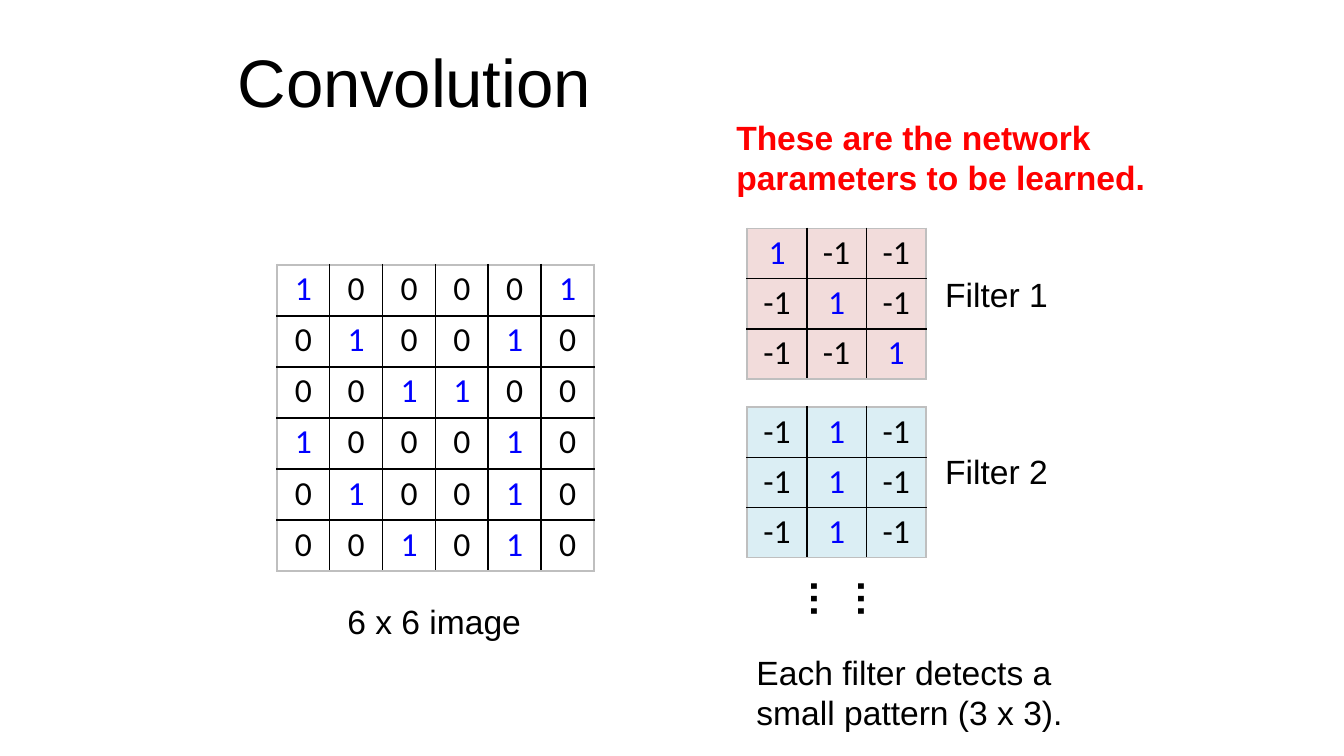
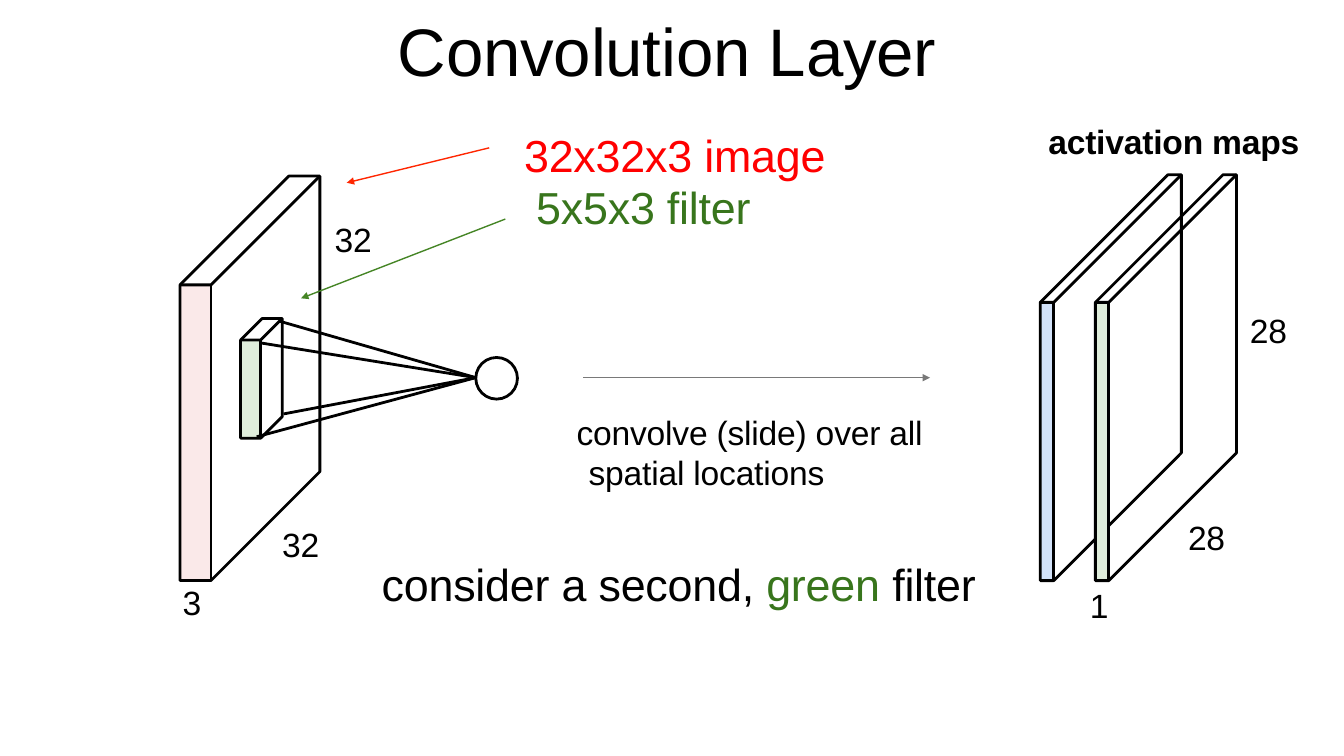
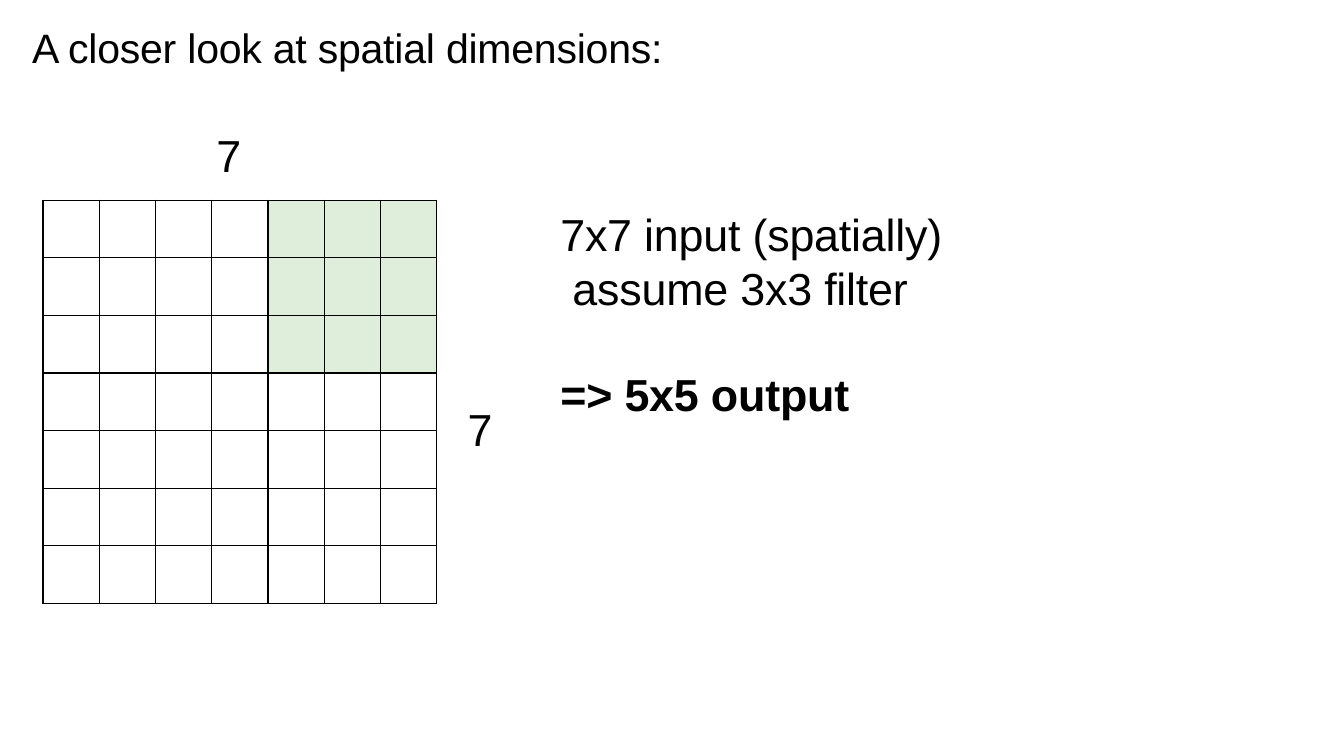
from dataclasses import dataclass
from typing import Optional

from lxml.etree import SubElement
from pptx import Presentation
from pptx.dml.color import RGBColor
from pptx.enum.shapes import MSO_CONNECTOR, MSO_SHAPE
from pptx.enum.text import MSO_ANCHOR, PP_ALIGN
from pptx.oxml.ns import qn
from pptx.util import Inches, Pt

COLORS = {
    "black": "000000",
    "blue": "0000FF",
    "red": "FF0000",
    "green": "38751C",
    "pink_cell": "F2DCDB",
    "sky_cell": "DBEEF4",
    "pale_green": "DFEDDB",
    "pale_blue": "D2E2F9",
    "pale_pink": "F7D6D5",
    "red_arrow": "FF2600",
    "green_arrow": "458525",
    "gray_arrow": "797979",
    "frame": "BFBFBF",
}
FONT = "Arial"
CELL_FONT = "Calibri"
WIDE_INSETS = (0.1, 0.05, 0.1, 0.05)
TIGHT_INSETS = (0.01, 0.01, 0, 0)
HANG = 0.09
TRACKING = "-10"


@dataclass
class Label:
    left: float
    top: float
    width: float
    height: float
    spans: tuple
    size: float = 18
    bold: bool = False
    centered: bool = False
    insets: tuple = TIGHT_INSETS
    hanging: bool = False
    line_height: Optional[float] = None
    space_before: float = 1
    anchor: MSO_ANCHOR = MSO_ANCHOR.TOP
    rotation: float = 0


@dataclass
class Grid:
    left: float
    top: float
    width: float
    height: float
    rows: list
    fill: Optional[str] = None
    margin: float = 0.08
    border: float = 1
    frame: str = "frame"


@dataclass
class Prism:
    left: float
    top: float
    width: float
    height: float
    depth: float
    fill: str
    opacity: int = 100


@dataclass
class Segment:
    start: tuple
    end: tuple
    color: str = "black"
    weight: float = 1.5
    arrow: bool = False


def rgb(name: str) -> RGBColor:
    return RGBColor.from_string(COLORS[name])


def plain(text: str, color: str = "black") -> tuple:
    return ((text, color),)


def add_label(page, label: Label):
    box = page.shapes.add_textbox(
        Inches(label.left), Inches(label.top), Inches(label.width), Inches(label.height)
    )
    box.rotation = label.rotation
    frame = box.text_frame
    frame.word_wrap = True
    frame.vertical_anchor = label.anchor
    frame.margin_left, frame.margin_top, frame.margin_right, frame.margin_bottom = map(
        Inches, label.insets
    )
    tight = label.insets != WIDE_INSETS
    para = frame.paragraphs[0]
    para.font.name = FONT
    para.font.size = Pt(label.size)
    para.font.bold = label.bold
    para.alignment = PP_ALIGN.CENTER if label.centered else PP_ALIGN.LEFT
    if tight:
        para.space_before = Pt(label.space_before)
    if label.line_height:
        para.line_spacing = Pt(label.line_height)
    if label.hanging:
        properties = para._p.get_or_add_pPr()
        properties.set("marL", str(Inches(HANG)))
        properties.set("indent", str(-Inches(HANG)))
    for text, color in label.spans:
        span = para.add_run()
        span.text = text
        span.font.color.rgb = rgb(color)
        if tight:
            span._r.get_or_add_rPr().set("spc", TRACKING)


def add_title(page, text: str, left: float, top: float, width: float,
              height: float, size: float = 36):
    add_label(page, Label(left, top, width, height, plain(text), size,
                          insets=(0.01, 0, 0, 0.01), anchor=MSO_ANCHOR.BOTTOM))


def set_border(cell, side: str, color: str, weight: float):
    line = SubElement(cell._tc.get_or_add_tcPr(), qn(f"a:ln{side}"), w=str(Pt(weight)))
    fill = SubElement(line, qn("a:solidFill"))
    SubElement(fill, qn("a:srgbClr"), val=COLORS[color])


def add_grid(page, grid: Grid, shaded: frozenset = frozenset()):
    row_count, column_count = len(grid.rows), len(grid.rows[0])
    table = page.shapes.add_table(
        row_count, column_count,
        Inches(grid.left), Inches(grid.top), Inches(grid.width), Inches(grid.height),
    ).table
    table.first_row = False
    table.horz_banding = False
    for column in table.columns:
        column.width = Inches(grid.width / column_count)
    for row in table.rows:
        row.height = Inches(grid.height / row_count)
    for row, values in enumerate(grid.rows):
        for column, value in enumerate(values):
            cell = table.cell(row, column)
            cell.margin_left = cell.margin_right = Inches(grid.margin)
            cell.margin_top = cell.margin_bottom = Inches(0.03)
            outer = {"L": column == 0, "R": column == column_count - 1,
                     "T": row == 0, "B": row == row_count - 1}
            for side, on_frame in outer.items():
                set_border(cell, side, grid.frame if on_frame else "black", grid.border)
            if grid.fill and (not shaded or (row, column) in shaded):
                cell.fill.solid()
                cell.fill.fore_color.rgb = rgb(grid.fill)
            else:
                cell.fill.background()
            if value:
                para = cell.text_frame.paragraphs[0]
                para.alignment = PP_ALIGN.CENTER
                span = para.add_run()
                span.text = value
                span.font.name = CELL_FONT
                span.font.size = Pt(18)
                span.font.color.rgb = rgb("blue" if value == "1" else "black")


def add_segment(page, segment: Segment):
    line = page.shapes.add_connector(
        MSO_CONNECTOR.STRAIGHT, *map(Inches, segment.start + segment.end)
    )
    line.line.color.rgb = rgb(segment.color)
    line.line.width = Pt(segment.weight)
    if segment.arrow:
        SubElement(line.line._get_or_add_ln(), qn("a:tailEnd"),
                   type="triangle", w="sm", len="sm")
    SubElement(line._element.spPr, qn("a:effectLst"))


def add_outline(page, points: list, closed: bool):
    start, *others = [tuple(map(Inches, point)) for point in points]
    builder = page.shapes.build_freeform(*start)
    builder.add_line_segments(others, close=closed)
    outline = builder.convert_to_shape()
    outline.shadow.inherit = False
    outline.fill.background()
    outline.line.color.rgb = rgb("black")
    outline.line.width = Pt(1.5)


def add_prism(page, prism: Prism):
    left, top, depth = prism.left, prism.top, prism.depth
    right, bottom = left + prism.width, top + prism.height
    face = page.shapes.add_shape(
        MSO_SHAPE.RECTANGLE, Inches(left), Inches(top),
        Inches(prism.width), Inches(prism.height),
    )
    face.shadow.inherit = False
    face.fill.solid()
    face.fill.fore_color.rgb = rgb(prism.fill)
    face.line.fill.background()
    if prism.opacity < 100:
        color = face._element.spPr.find(f"{qn('a:solidFill')}/{qn('a:srgbClr')}")
        SubElement(color, qn("a:alpha"), val=str(prism.opacity * 1000))
    back_corner = (right + depth, top - depth)
    add_outline(page, [(left, top), (left + depth, top - depth), back_corner,
                       (right + depth, bottom - depth), (right, bottom), (left, bottom)], True)
    add_outline(page, [(left, top), (right, top), back_corner], False)
    add_segment(page, Segment((right, top), (right, bottom)))


def build_convolution(page):
    add_title(page, "Convolution", 1.76, 0.3, 6.47, 0.61)
    image = [list(row) for row in
             ("100001", "010010", "001100", "100010", "010010", "001010")]
    add_grid(page, Grid(2.06, 1.97, 2.36, 2.28, image, margin=0.07))
    diagonal = [["1" if row == column else "-1" for column in range(3)] for row in range(3)]
    vertical = [["-1", "1", "-1"]] * 3
    add_grid(page, Grid(5.56, 1.7, 1.33, 1.12, diagonal, "pink_cell"))
    add_grid(page, Grid(5.56, 3.03, 1.33, 1.12, vertical, "sky_cell"))
    labels = [
        Label(2.27, 4.42, 1.92, 0.4, plain("6 x 6 image"), centered=True),
        Label(6.82, 1.99, 1.19, 0.4, plain("Filter 1"), centered=True),
        Label(6.82, 3.31, 1.19, 0.4, plain("Filter 2"), centered=True),
        Label(6.03, 4.1, 0.58, 0.81, plain("……"), 21, bold=True, rotation=90),
        Label(5.38, 0.82, 3.25, 0.71,
              plain("These are the network parameters to be learned.", "red"), bold=True),
        Label(5.53, 4.8, 2.92, 0.71, plain("Each filter detects a small pattern (3 x 3).")),
    ]
    for label in labels:
        label.insets = WIDE_INSETS
        add_label(page, label)


def build_layer(page):
    prisms = [
        Prism(7.74, 2.25, 0.1, 2.07, 0.95, "pale_blue"),
        Prism(1.79, 2.53, 0.15, 0.73, 0.16, "pale_green"),
        Prism(8.15, 2.25, 0.1, 2.07, 0.95, "pale_green"),
        Prism(1.34, 2.12, 0.23, 2.2, 0.81, "pale_pink", 52),
    ]
    for prism in prisms:
        add_prism(page, prism)

    neuron = page.shapes.add_shape(
        MSO_SHAPE.OVAL, Inches(3.54), Inches(2.66), Inches(0.31), Inches(0.31)
    )
    neuron.shadow.inherit = False
    neuron.fill.background()
    neuron.line.color.rgb = rgb("black")
    neuron.line.width = Pt(1.5)
    for corner in ((1.91, 3.25), (1.93, 2.55), (2.08, 2.39), (2.11, 3.08)):
        add_segment(page, Segment(corner, (3.54, 2.81)))

    for start, end, color in (
        ((3.64, 1.1), (2.58, 1.36), "red_arrow"),
        ((3.76, 1.63), (2.24, 2.22), "green_arrow"),
        ((4.34, 2.81), (6.92, 2.81), "gray_arrow"),
    ):
        add_segment(page, Segment(start, end, color, 0.75, True))

    for text, left, top, width in (
        ("32", 2.09, 3.89, 0.3), ("32", 2.48, 1.62, 0.3), ("3", 1.35, 4.32, 0.17),
        ("1", 8.1, 4.34, 0.17), ("28", 8.83, 3.84, 0.3), ("28", 9.29, 2.3, 0.3),
    ):
        add_label(page, Label(left, top, width, 0.33, plain(text)))

    for label in (
        Label(3.89, 0.92, 2.27, 0.82,
              (("32x32x3 image ", "red"), ("5x5x3 filter", "green")), 24,
              insets=(0.01, 0.04, 0, 0), hanging=True, line_height=28, space_before=2.6),
        Label(7.79, 0.89, 1.95, 0.33, plain("activation maps"), bold=True),
        Label(4.28, 3.04, 2.65, 0.63, plain("convolve (slide) over all spatial locations"),
              insets=(0.01, 0.03, 0, 0), hanging=True, line_height=21.4, space_before=1.9),
        Label(2.83, 4.13, 4.6, 0.43,
              (("consider a second, ", "black"), ("green ", "green"), ("filter", "black")), 24),
    ):
        add_label(page, label)
    add_title(page, "Convolution Layer", 2.95, 0.05, 4.2, 0.63)


def build_dimensions(page):
    for label in (
        Label(4.16, 2.72, 2.25, 0.43, plain("=> 5x5 output"), 24, bold=True),
        Label(1.6, 0.94, 0.21, 0.43, plain("7"), 24),
        Label(4.16, 1.53, 2.9, 0.83, plain("7x7 input (spatially) assume 3x3 filter"), 24,
              hanging=True),
        Label(3.47, 2.98, 0.21, 0.43, plain("7"), 24),
    ):
        add_label(page, label)
    add_title(page, "A closer look at spatial dimensions:", 0.23, 0.15, 4.9, 0.39, 22)
    window = frozenset((row, column) for row in range(3) for column in range(4, 7))
    add_grid(page, Grid(0.32, 1.49, 2.93, 3, [[""] * 7] * 7, "pale_green",
                        border=0.75, frame="black"), window)


def main():
    deck = Presentation()
    deck.slide_width = Inches(10)
    deck.slide_height = deck.slide_width * 9 // 16
    for build in (build_convolution, build_layer, build_dimensions):
        build(deck.slides.add_slide(deck.slide_layouts[6]))
    deck.save("out.pptx")


if __name__ == "__main__":
    main()
